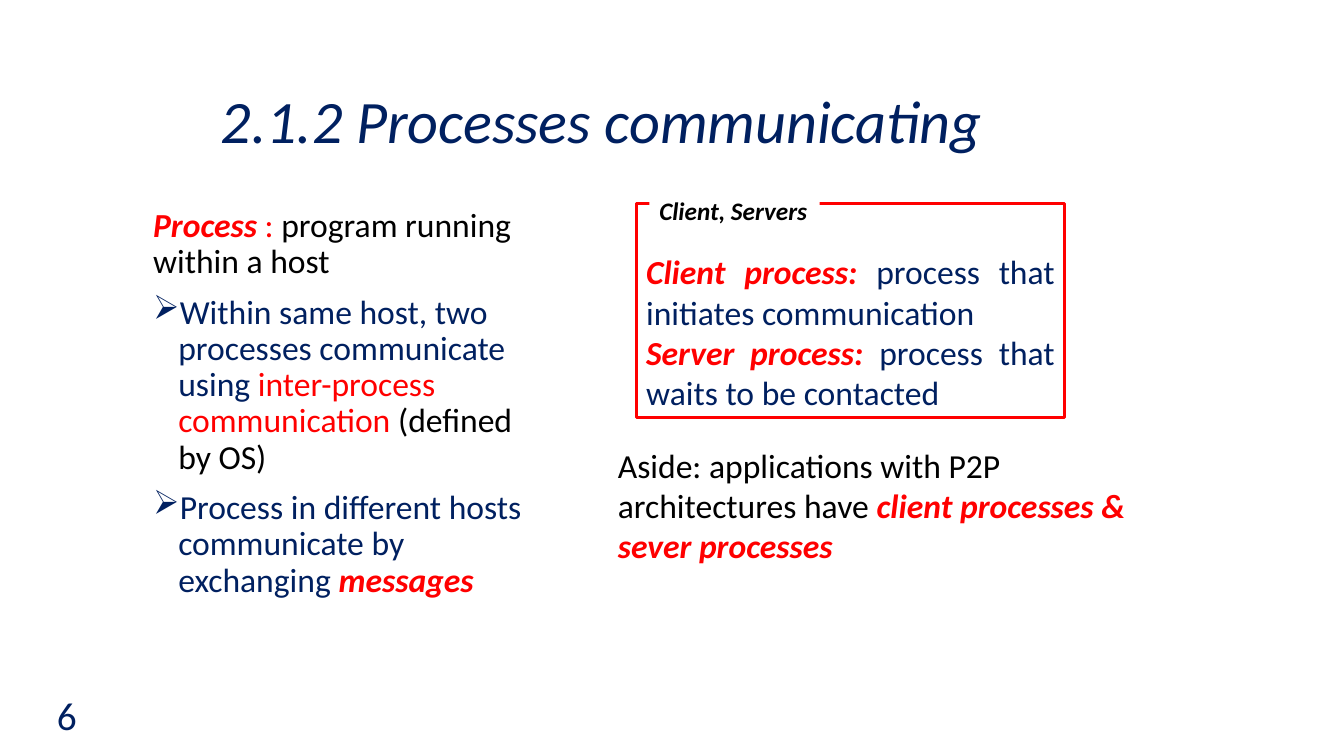
from lxml import etree
from pptx import Presentation
from pptx.dml.color import RGBColor
from pptx.enum.shapes import MSO_SHAPE
from pptx.enum.text import MSO_ANCHOR, MSO_AUTO_SIZE, PP_ALIGN
from pptx.oxml.ns import qn
from pptx.util import Inches, Pt

LEFT, RIGHT, JUSTIFY = PP_ALIGN.LEFT, PP_ALIGN.RIGHT, PP_ALIGN.JUSTIFY
TOP, MIDDLE, BOTTOM = MSO_ANCHOR.TOP, MSO_ANCHOR.MIDDLE, MSO_ANCHOR.BOTTOM
RECTANGLE = MSO_SHAPE.RECTANGLE
NO_AUTOFIT = MSO_AUTO_SIZE.NONE

COLORS = {"navy": "002060", "red": "FF0000", "black": "000000", "white": "FFFFFF"}


def color(name):
    return RGBColor.from_string(COLORS[name])


class SlideBuilder:
    """Holds the style and the current slide."""

    font = "Calibri"
    size = 24

    def __init__(self, page):
        self.page = page

    def add_bullet(self, para):
        props = para._p.get_or_add_pPr()
        props.set("marL", str(Inches(0.25)))
        props.set("indent", str(-Inches(0.25)))
        tint = etree.SubElement(props, qn("a:buClr"))
        etree.SubElement(tint, qn("a:srgbClr"), val=COLORS["navy"])
        etree.SubElement(props, qn("a:buChar"), char="➢")

    def fill_text(self, box, paragraphs, size=None, align=LEFT, anchor=TOP,
                  spacing=1.0, gap=0, bullets=False, wrap=True):
        """Each paragraph is a list of (text, color, style); style holds b and i."""
        frame = box.text_frame
        frame.word_wrap = wrap
        frame.auto_size = NO_AUTOFIT
        frame.vertical_anchor = anchor
        for index, spans in enumerate(paragraphs):
            para = frame.paragraphs[0] if index == 0 else frame.add_paragraph()
            if bullets and index:
                self.add_bullet(para)
            para.alignment = align
            para.line_spacing = spacing
            para.space_before = Pt(gap if index else 0)
            for text, tint, style in spans:
                span = para.add_run()
                span.text = text
                span.font.name = self.font
                span.font.size = Pt(size or self.size)
                span.font.color.rgb = color(tint)
                span.font.bold = "b" in style
                span.font.italic = "i" in style

    def title(self, bounds, indent, paragraphs, **style):
        box = self.page.shapes.title
        box.left, box.top, box.width, box.height = map(Inches, bounds)
        box.text_frame.margin_left = Inches(indent)
        self.fill_text(box, paragraphs, **style)

    def text(self, bounds, paragraphs, **style):
        box = self.page.shapes.add_textbox(*map(Inches, bounds))
        self.fill_text(box, paragraphs, **style)

    def panel(self, bounds, paragraphs, fill=None, line=None, **style):
        box = self.page.shapes.add_shape(RECTANGLE, *map(Inches, bounds))
        box.shadow.inherit = False
        if fill:
            box.fill.solid()
            box.fill.fore_color.rgb = color(fill)
        else:
            box.fill.background()
        if line:
            box.line.color.rgb = color(line)
            box.line.width = Pt(2.25)
        else:
            box.line.fill.background()
        self.fill_text(box, paragraphs, **style)


def main():
    deck = Presentation()
    deck.slide_width, deck.slide_height = Inches(13.33), Inches(7.5)
    slide = SlideBuilder(deck.slides.add_slide(deck.slide_layouts[5]))

    # Title
    slide.title((1.09, 0.62, 11.46, 1.23), 1.1,
                [[("2.1.2 Processes communicating", "navy", "i")]],
                size=43, anchor=MIDDLE, spacing=0.9)

    # Definition of a process
    slide.text((1.42, 2.02, 4.12, 4.54), [
        [("Process", "red", "bi"), (" : ", "red", ""),
         ("program running within a host", "black", "")],
        [("Within same host, two processes communicate using ", "navy", ""),
         ("inter-process communication ", "red", ""),
         ("(defined by OS)", "black", "")],
        [("Process in different hosts communicate by exchanging ", "navy", ""),
         ("messages", "red", "bi")],
    ], spacing=0.9, gap=10, bullets=True)

    # Slide number
    slide.text((0, 6.69, 0.86, 0.81), [[("6", "navy", "")]],
               size=28, align=RIGHT, anchor=MIDDLE)

    # Client and server panel with its label
    slide.panel((6.31, 2.02, 4.25, 2.12), [
        [("Client process: ", "red", "bi"),
         ("process that initiates communication", "navy", "")],
        [("Server process: ", "red", "bi"),
         ("process that waits to be contacted", "navy", "")],
    ], line="red", align=JUSTIFY, anchor=BOTTOM)
    slide.panel((6.44, 1.89, 1.69, 0.4), [[("Client, Servers", "black", "bi")]],
                fill="white", size=18, wrap=False)

    # Aside
    slide.text((6.03, 4.36, 5.24, 1.31), [
        [("Aside: applications with P2P architectures have ", "black", ""),
         ("client processes & sever processes", "red", "bi")],
    ])

    deck.save("out.pptx")


if __name__ == "__main__":
    main()
